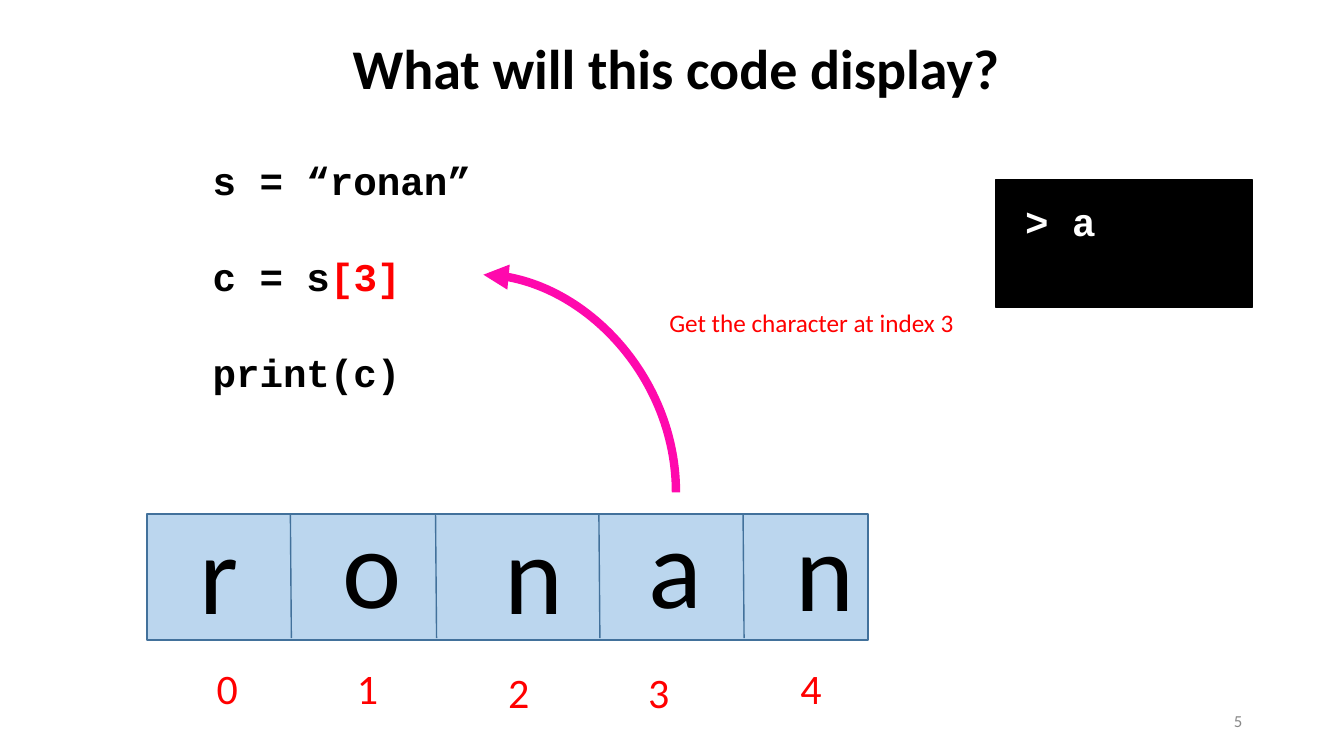
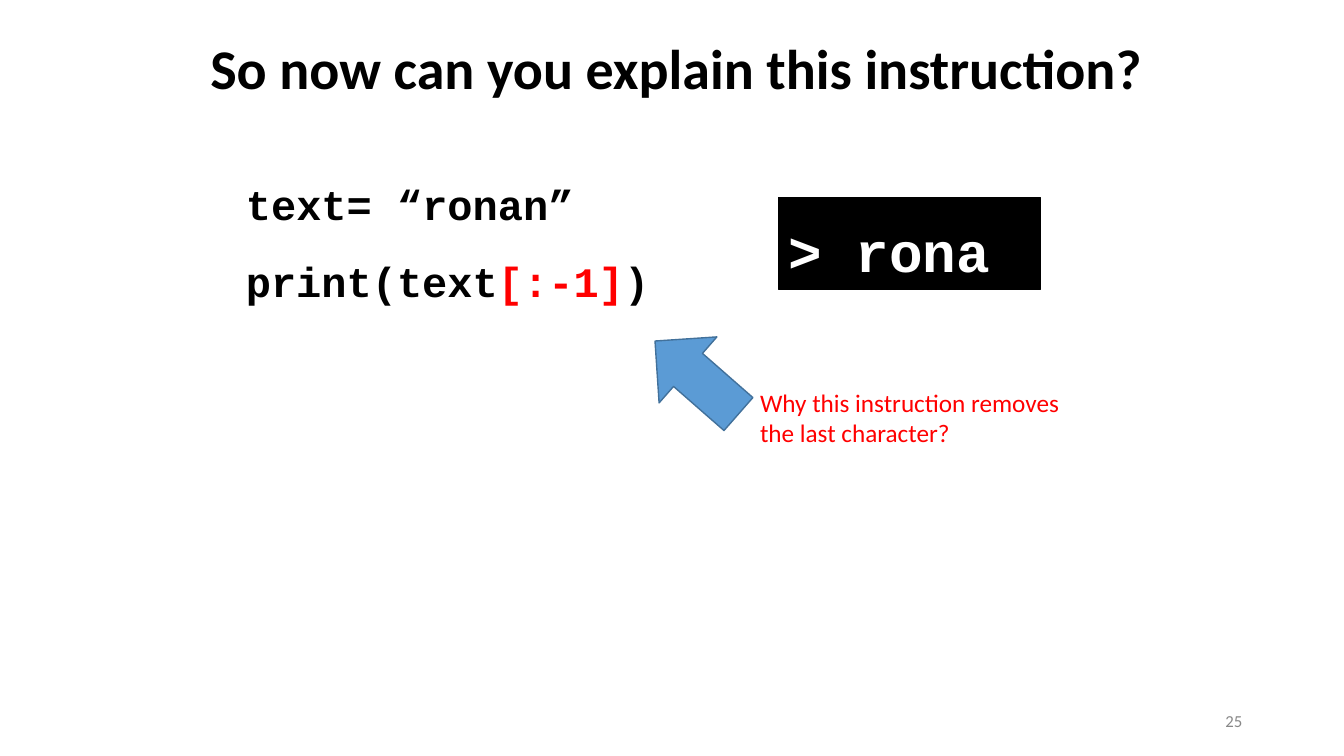
from dataclasses import dataclass

from lxml.etree import SubElement
from pptx import Presentation
from pptx.dml.color import RGBColor
from pptx.enum.shapes import MSO_CONNECTOR, MSO_SHAPE
from pptx.enum.text import MSO_ANCHOR, PP_ALIGN
from pptx.oxml.ns import qn
from pptx.shapes.autoshape import Shape
from pptx.shapes.connector import Connector
from pptx.slide import Slide
from pptx.util import Emu, Pt

EMU_PER_PX = 9144
SLIDE_W, SLIDE_H = 1333, 750

BLACK = RGBColor(0x00, 0x00, 0x00)
WHITE = RGBColor(0xFF, 0xFF, 0xFF)
RED = RGBColor(0xFF, 0x00, 0x00)
GREY = RGBColor(0x88, 0x88, 0x88)
PINK = RGBColor(0xFF, 0x09, 0xAD)
BLUE = RGBColor(0x5B, 0x9B, 0xD5)
PALE_BLUE = RGBColor(0xBB, 0xD6, 0xEE)
DARK_BLUE = RGBColor(0x42, 0x71, 0x9B)


@dataclass(frozen=True)
class Box:
    x: int
    y: int
    w: int
    h: int

    def emu(self) -> tuple[Emu, Emu, Emu, Emu]:
        return px(self.x), px(self.y), px(self.w), px(self.h)


@dataclass(frozen=True)
class Style:
    font: str
    size: int
    color: RGBColor
    bold: bool = False
    align: PP_ALIGN = PP_ALIGN.LEFT
    anchor: MSO_ANCHOR = MSO_ANCHOR.TOP
    gap: int = 0


@dataclass(frozen=True)
class Span:
    text: str
    color: RGBColor


@dataclass(frozen=True)
class Cell:
    letter: str
    letter_box: Box
    index_x: int
    index_y: int


TITLE = Style("Calibri", 40, BLACK, bold=True, align=PP_ALIGN.CENTER)
NUMBER = Style("Calibri", 12, GREY, align=PP_ALIGN.RIGHT, anchor=MSO_ANCHOR.MIDDLE)
CAPTION = Style("Calibri", 18, RED)
LETTER = Style("Calibri", 80, BLACK)
INDEX = Style("Calibri", 30, RED)
SPACED_CODE = Style("Courier New", 28, BLACK, bold=True, gap=35)
CODE = Style("Courier New", 30, BLACK, bold=True)
OUTPUT = Style("Courier New", 28, WHITE, bold=True)
BIG_OUTPUT = Style("Courier New", 40, WHITE, bold=True)

TITLE_BOX = Box(193, 28, 955, 77)
NUMBER_BOX = Box(942, 695, 300, 40)

STRIP = Box(146, 510, 715, 125)
DIVIDERS = (288, 432, 594, 737)
CELLS = (
    Cell("r", Box(188, 494, 59, 145), 205, 652),
    Cell("o", Box(330, 488, 79, 145), 344, 652),
    Cell("n", Box(491, 494, 79, 145), 494, 656),
    Cell("a", Box(633, 488, 74, 145), 633, 656),
    Cell("n", Box(779, 491, 79, 145), 784, 652),
)


def px(n: int) -> Emu:
    return Emu(n * EMU_PER_PX)


def add_text(s: Slide, box: Box, style: Style, *lines: str | list[Span]) -> None:
    tf = s.shapes.add_textbox(*box.emu()).text_frame
    tf.word_wrap = True
    tf.vertical_anchor = style.anchor
    for i, line in enumerate(lines):
        p = tf.add_paragraph() if i else tf.paragraphs[0]
        p.alignment = style.align
        p.space_before = Pt(style.gap if i else 0)
        p.font.name = style.font
        p.font.size = Pt(style.size)
        p.font.bold = style.bold
        p.font.color.rgb = style.color
        if isinstance(line, str):
            p.add_run().text = line
            continue
        for span in line:
            r = p.add_run()
            r.text = span.text
            r.font.color.rgb = span.color


def add_shape(s: Slide, kind: MSO_SHAPE, box: Box, fill: RGBColor, line: RGBColor) -> Shape:
    sp = s.shapes.add_shape(kind, *box.emu())
    sp.shadow.inherit = False
    sp.fill.solid()
    sp.fill.fore_color.rgb = fill
    sp.line.color.rgb = line
    sp.line.width = Pt(1)
    return sp


def add_line(
    s: Slide, kind: MSO_CONNECTOR, x1: int, y1: int, x2: int, y2: int, color: RGBColor, width: int
) -> Connector:
    cxn = s.shapes.add_connector(kind, px(x1), px(y1), px(x2), px(y2))
    cxn.line.color.rgb = color
    cxn.line.width = Pt(width)
    SubElement(cxn._element.spPr, qn("a:effectLst"))
    return cxn


def add_curved_arrow(s: Slide) -> None:
    cxn = add_line(s, MSO_CONNECTOR.CURVE, 683, 285, 467, 476, PINK, 6)
    sp_pr = cxn._element.spPr
    sp_pr.find(qn("a:xfrm")).set("rot", str(90 * 60000))
    sp_pr.find(qn("a:prstGeom")).set("prst", "curvedConnector2")
    SubElement(sp_pr.find(qn("a:ln")), qn("a:tailEnd"), type="triangle")


def add_slide(prs: Presentation, title: str, number: int) -> Slide:
    s = prs.slides.add_slide(prs.slide_layouts[6])
    add_text(s, TITLE_BOX, TITLE, title)
    add_text(s, NUMBER_BOX, NUMBER, str(number))
    return s


def add_letter_strip(s: Slide) -> None:
    add_shape(s, MSO_SHAPE.RECTANGLE, STRIP, PALE_BLUE, DARK_BLUE)
    for x in DIVIDERS:
        add_line(s, MSO_CONNECTOR.STRAIGHT, x, STRIP.y, x + 1, STRIP.y + 123, DARK_BLUE, 1)
    for i, cell in enumerate(CELLS):
        add_text(s, cell.letter_box, LETTER, cell.letter)
        add_text(s, Box(cell.index_x, cell.index_y, 42, 61), INDEX, str(i))


def build_index_slide(prs: Presentation) -> None:
    s = add_slide(prs, "What will this code display?", 5)
    add_text(
        s,
        Box(201, 150, 279, 246),
        SPACED_CODE,
        "s = “ronan”",
        [Span("c = s", BLACK), Span("[3]", RED)],
        "print(c)",
    )
    add_letter_strip(s)
    add_curved_arrow(s)
    add_text(s, Box(654, 300, 306, 40), CAPTION, "Get the character at index 3")
    add_shape(s, MSO_SHAPE.RECTANGLE, Box(988, 178, 254, 127), BLACK, BLACK)
    add_text(s, Box(1007, 191, 92, 57), OUTPUT, "> a")


def build_slice_slide(prs: Presentation) -> None:
    s = add_slide(prs, "So now can you explain this instruction?", 25)
    add_text(s, Box(234, 172, 348, 61), CODE, "text= “ronan”")
    add_text(
        s,
        Box(234, 249, 424, 61),
        CODE,
        [Span("print(text", BLACK), Span("[:-1]", RED), Span(")", BLACK)],
    )
    arrow = add_shape(s, MSO_SHAPE.RIGHT_ARROW, Box(636, 331, 110, 87), BLUE, DARK_BLUE)
    arrow.rotation = 221.2
    add_text(
        s,
        Box(744, 379, 320, 71),
        CAPTION,
        "Why this instruction removes",
        "the last character?",
    )
    add_shape(s, MSO_SHAPE.RECTANGLE, Box(772, 196, 260, 91), BLACK, BLACK)
    add_text(s, Box(772, 210, 222, 77), BIG_OUTPUT, "> rona")


def main() -> None:
    prs = Presentation()
    prs.slide_width, prs.slide_height = px(SLIDE_W), px(SLIDE_H)
    build_index_slide(prs)
    build_slice_slide(prs)
    prs.save("out.pptx")


if __name__ == "__main__":
    main()
